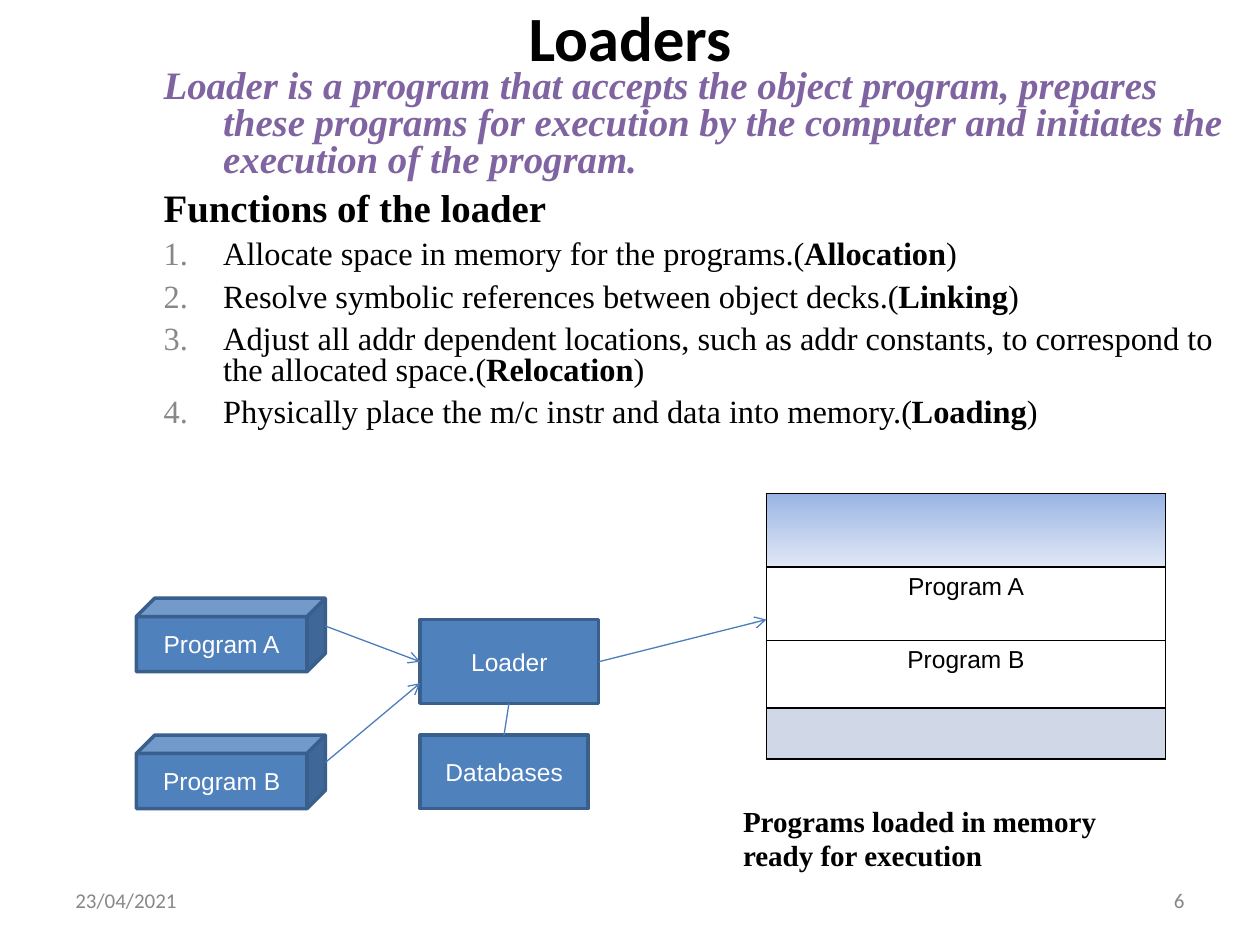
from dataclasses import dataclass

from lxml import etree
from pptx import Presentation
from pptx.dml import color
from pptx.enum import shapes, text
from pptx.oxml import ns
from pptx.util import Cm, Pt


@dataclass(frozen=True)
class Theme:
    """Colours, fonts and type sizes of the slide."""
    ink: str = "000000"
    paper: str = "FFFFFF"
    grey: str = "888888"
    accent: str = "8064A2"
    box: str = "4F81BD"
    edge: str = "3A5F8C"
    link: str = "4B7EBC"
    shade: str = "D0D8E8"
    fade: tuple = ("9AB5E4", "E1E8F5")
    head: str = "Calibri"
    serif: str = "Times New Roman"
    sans: str = "Arial"
    title: float = 36
    lead: float = 22.2
    item: float = 18.5
    note: float = 16.6
    label: float = 14
    foot: float = 12


T = Theme()
LEFT, MID, RIGHT = (text.PP_ALIGN.LEFT, text.PP_ALIGN.CENTER,
                    text.PP_ALIGN.RIGHT)


def rgb(code):
    """Turn a hex code into a colour."""
    return color.RGBColor.from_string(code)


def sub(node, tag, **attrs):
    """Append a DrawingML child to a node."""
    return etree.SubElement(node, ns.qn("a:" + tag), **attrs)


def write(para, words, size=T.label, font=T.sans, ink=T.ink, bold=False,
          slant=False, align=LEFT):
    """Add one formatted run to a paragraph."""
    para.alignment = align
    run = para.add_run()
    run.text = words
    face = run.font
    face.size, face.name, face.bold, face.italic = Pt(size), font, bold, slant
    face.color.rgb = rgb(ink)


def space(para, before, hang=0.0, count=False):
    """Set tight lines, a hanging indent and an optional number."""
    para.line_spacing, para.space_before = 0.8, Pt(before)
    props = para._p.get_or_add_pPr()
    if hang:
        props.set("marL", str(Cm(1.2)))
        props.set("indent", str(-Cm(hang)))
    if count:
        sub(sub(props, "buClr"), "srgbClr", val=T.grey)
        sub(props, "buAutoNum", type="arabicPeriod")


def frame(slide, x, y, w, h, anchor=text.MSO_ANCHOR.MIDDLE):
    """Add a wrapping text box and return its text frame."""
    area = slide.shapes.add_textbox(Cm(x), Cm(y), Cm(w), Cm(h)).text_frame
    area.word_wrap, area.vertical_anchor = True, anchor
    return area


def lines(area):
    """Yield the first paragraph, then new ones without end."""
    yield area.paragraphs[0]
    while True:
        yield area.add_paragraph()


def body(slide):
    """Add the definition and the numbered functions."""
    paras = lines(frame(slide, 3.05, 1.27, 22.35, 10, text.MSO_ANCHOR.TOP))
    heads = (
        ("Loader is a program that accepts the object program, prepares these "
         "programs for execution by the computer and initiates the execution "
         "of the program.", T.accent, True),
        ("Functions of the loader", T.ink, False))
    for words, ink, slant in heads:
        para = next(paras)
        write(para, words, T.lead, T.serif, ink, True, slant)
        space(para, 6.4, 1.2)
    items = (
        ("Allocate space in memory for the programs.", "Allocation"),
        ("Resolve symbolic references between object decks.", "Linking"),
        ("Adjust all addr dependent locations, such as addr constants, to "
         "correspond to the allocated space.", "Relocation"),
        ("Physically place the m/c instr and data into memory.", "Loading"))
    for words, term in items:
        para = next(paras)
        for part, bold in ((words + "(", False), (term, True), (")", False)):
            write(para, part, T.item, T.serif, bold=bold)
        space(para, 6.4, 1.27, True)


def block(slide, kind, words, x, y, w, h):
    """Add a labelled solid shape."""
    item = slide.shapes.add_shape(kind, Cm(x), Cm(y), Cm(w), Cm(h))
    item.shadow.inherit = False
    item.fill.solid()
    item.fill.fore_color.rgb = rgb(T.box)
    item.line.color.rgb, item.line.width = rgb(T.edge), Pt(2)
    item.text_frame.vertical_anchor = text.MSO_ANCHOR.MIDDLE
    write(item.text_frame.paragraphs[0], words, ink=T.paper, align=MID)


def link(slide, x, y, to_x, to_y, arrow=True):
    """Add a thin line, with an open arrowhead if wanted."""
    line = slide.shapes.add_connector(
        shapes.MSO_CONNECTOR.STRAIGHT, Cm(x), Cm(y), Cm(to_x), Cm(to_y))
    line.line.color.rgb, line.line.width = rgb(T.link), Pt(0.75)
    if arrow:
        sub(line.line._get_or_add_ln(), "tailEnd", type="arrow")
    sub(line._element.spPr, "effectLst")


def border(cell):
    """Draw black lines on all sides of a cell."""
    props = cell._tc.get_or_add_tcPr()
    for spot, side in enumerate(("lnL", "lnR", "lnT", "lnB")):
        line = sub(props, side, w=str(Pt(1)))
        sub(sub(line, "solidFill"), "srgbClr", val=T.ink)
        props.insert(spot, line)


def memory(slide):
    """Add the memory map as a table."""
    rows = (("", 1.48), ("Program A", 1.48), ("Program B", 1.36), ("", 1.03))
    grid = slide.shapes.add_table(
        len(rows), 1, Cm(15.45), Cm(9.95), Cm(8.05),
        Cm(sum(high for _, high in rows))).table
    grid.first_row = grid.horz_banding = False
    for spot, (words, high) in enumerate(rows):
        grid.rows[spot].height = Cm(high)
        cell = grid.cell(spot, 0)
        if words:
            write(cell.text_frame.paragraphs[0], words, align=MID)
            cell.fill.background()
        elif spot == 0:
            cell.fill.gradient()
            cell.fill.gradient_angle = 270
            for stop, code in zip(cell.fill.gradient_stops, T.fade):
                stop.color.rgb = rgb(code)
        else:
            cell.fill.solid()
            cell.fill.fore_color.rgb = rgb(T.shade)
        border(cell)


def flow(slide):
    """Add the programs, the loader and the lines between them."""
    cube, rect = shapes.MSO_SHAPE.CUBE, shapes.MSO_SHAPE.RECTANGLE
    for kind, words, x, y, w, h in (
            (cube, "Program A", 2.75, 12.06, 3.81, 1.48),
            (cube, "Program B", 2.75, 14.82, 3.81, 1.48),
            (rect, "Loader", 8.47, 12.49, 3.6, 1.69),
            (rect, "Databases", 8.47, 14.82, 3.39, 1.48)):
        block(slide, kind, words, x, y, w, h)
    memory(slide)
    link(slide, 6.56, 12.62, 8.47, 13.34)
    link(slide, 6.56, 15.37, 8.47, 13.77)
    link(slide, 10.26, 14.18, 10.16, 14.82, arrow=False)
    link(slide, 12.07, 13.34, 15.45, 12.49)


def main():
    """Build the slide and save it."""
    deck = Presentation()
    deck.slide_width, deck.slide_height = Cm(25.4), Cm(19.05)
    slide = deck.slides.add_slide(deck.slide_layouts[6])
    area = frame(slide, 1.9, 0, 21.6, 1.48)
    write(area.paragraphs[0], "Loaders", T.title, T.head, bold=True, align=MID)
    body(slide)
    flow(slide)
    paras = lines(frame(slide, 14.73, 16.2, 9, 1.6, text.MSO_ANCHOR.TOP))
    for words in ("Programs loaded in memory", "ready for execution"):
        para = next(paras)
        write(para, words, T.note, T.serif, bold=True)
        space(para, 4)
    for x, words, align in ((1.27, "23/04/2021", LEFT), (18.2, "6", RIGHT)):
        area = frame(slide, x, 17.65, 5.93, 1.01)
        write(area.paragraphs[0], words, T.foot, T.head, T.grey, align=align)
    deck.save("out.pptx")


main()
